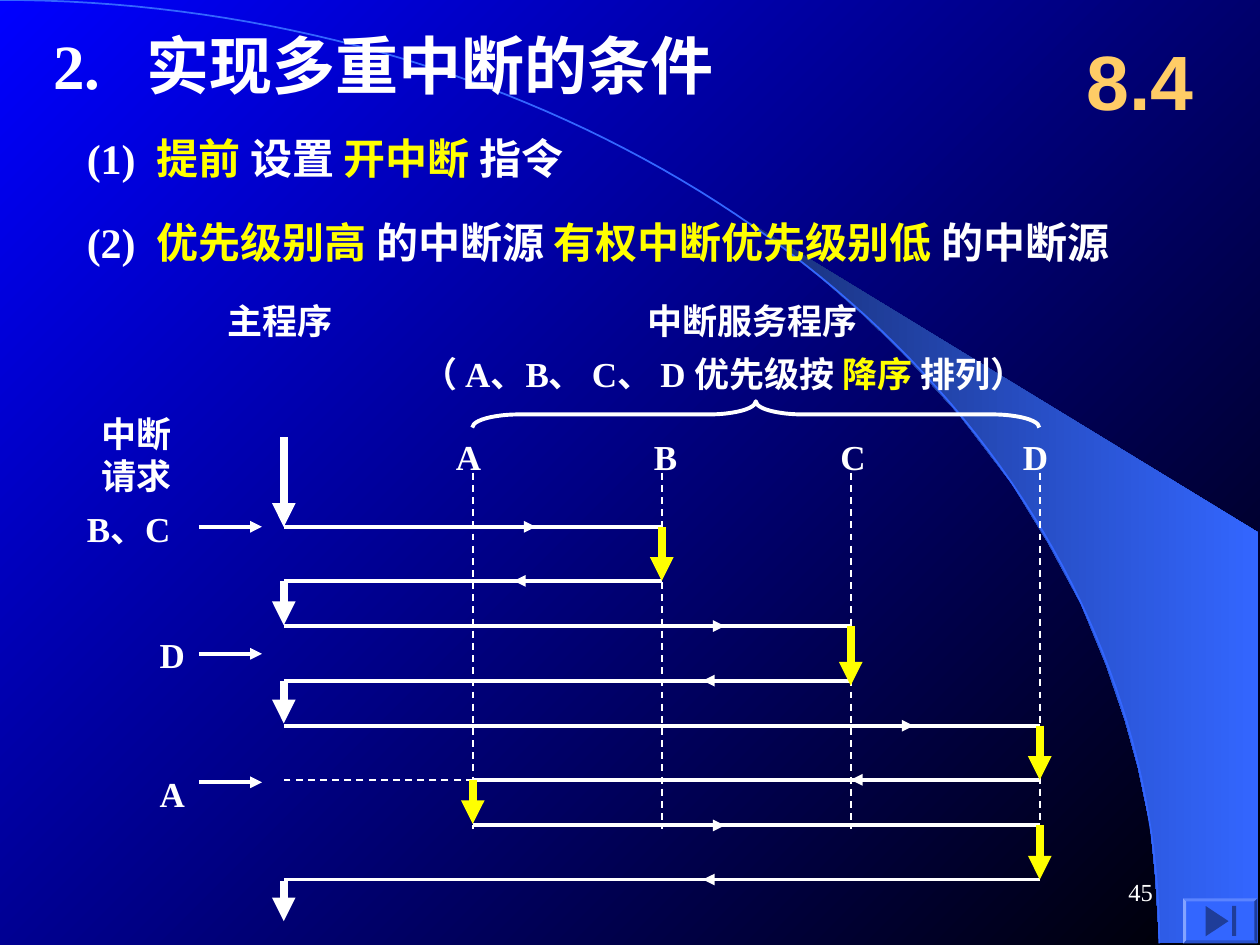
import math
import lxml.etree
import pptx
import pptx.dml.color
import pptx.enum.dml
import pptx.enum.shapes
import pptx.enum.text
import pptx.oxml.ns
import pptx.util

Cm = pptx.util.Cm
SHAPE = pptx.enum.shapes.MSO_SHAPE
ALIGN = pptx.enum.text.PP_ALIGN
ANCHOR = pptx.enum.text.MSO_ANCHOR
qn = pptx.oxml.ns.qn

COLORS = {"white": "FFFFFF", "yellow": "FFFF00", "gold": "FFCC66", "blue": "3366FF",
          "navy": "182F76", "icon": "1F3D99", "sky": "0000FF", "black": "000000"}

COL = {name: 5.72 + 3.81 * i for i, name in enumerate(["main", "A", "B", "C", "D"])}
ROWS = [10.62, 11.71, 12.62, 13.72, 14.63, 15.72, 16.64, 17.73]

TRANSFERS = [("main", "B", 9.53), ("B", "main", 11.63), ("main", "C", 13.34),
             ("C", "main", 15.44), ("main", "D", 17.15), ("D", "A", 18.42),
             ("A", "D", 13.34), ("D", "main", 15.44)]
RUNS = [("main", 8.81, 10.62, "white"), ("main", 11.71, 12.6, "white"),
        ("main", 13.72, 14.58, "white"), ("main", 17.75, 18.57, "white"),
        ("B", 10.62, 11.71, "yellow"), ("C", 12.62, 13.82, "yellow"),
        ("D", 14.63, 15.72, "yellow"), ("A", 15.72, 16.61, "yellow"),
        ("D", 16.64, 17.73, "yellow")]
REQUESTS = [("B、C", 1.5, 10.11, 10.62), ("D", 2.97, 12.65, 13.18), ("A", 2.97, 15.44, 15.77)]
HEADS = [("A", 8.94), ("B", 12.93), ("C", 16.69), ("D", 20.37)]
CONDITIONS = [
    (2.54, [("(1)\t", "white"), ("提前 ", "yellow"), ("设置 ", "white"),
            ("开中断 ", "yellow"), ("指令", "white")]),
    (4.24, [("(2)\t", "white"), ("优先级别高 ", "yellow"), ("的中断源 ", "white"),
            ("有权中断优先级别低 ", "yellow"), ("的中断源", "white")])]
PRIORITY = [("（ A、B、 C、 D 优先级按 ", "white"), ("降序 ", "yellow"), ("排列）", "white")]
SWOOSH = [(23.37, 19), (25.37, 19.02), (25.37, 10.74), (14.96, 4.39), (15.85, 5.05),
          (16.59, 5.64), (17.4, 6.35), (18.19, 7.11), (19.35, 8.38), (20.4, 9.75),
          (21.13, 10.95), (21.79, 12.17), (22.3, 13.41), (22.68, 14.53),
          (22.94, 15.47), (23.19, 16.66), (23.29, 17.68)]
ARC = [(23.37 * math.sin(math.pi * i / 160), 19.02 * (1 - math.cos(math.pi * i / 160)))
       for i in range(81)]

prs = pptx.Presentation()
prs.slide_width, prs.slide_height = Cm(25.4), Cm(19.05)
s = prs.slides.add_slide(prs.slide_layouts[6])


def rgb(name):
    return pptx.dml.color.RGBColor.from_string(COLORS[name])


def gradient(fill, names, angle):
    fill.gradient()
    fill.gradient_angle = angle
    for stop, name, position in zip(fill.gradient_stops, names, (0, 1)):
        stop.color.rgb = rgb(name)
        stop.position = position


def text(content, x, y, w, h, size=20, color="white", font="Times New Roman", bold=True,
         align=ALIGN.LEFT, anchor=ANCHOR.TOP, wrap=False, inset=True, tab=None):
    tf = s.shapes.add_textbox(Cm(x), Cm(y), Cm(w), Cm(h)).text_frame
    tf.word_wrap = wrap
    tf.vertical_anchor = anchor
    if not inset:
        tf.margin_left = tf.margin_right = tf.margin_top = tf.margin_bottom = 0
    lines = content.split("\n") if isinstance(content, str) else [content]
    for i, line in enumerate(lines):
        p = tf.paragraphs[0] if i == 0 else tf.add_paragraph()
        p.alignment = align
        if tab:
            tabs = lxml.etree.SubElement(p._p.get_or_add_pPr(), qn("a:tabLst"))
            lxml.etree.SubElement(tabs, qn("a:tab"), pos=str(Cm(tab)), algn="l")
        for words, name in ([(line, color)] if isinstance(line, str) else line):
            r = p.add_run()
            r.text = words
            r.font.size = pptx.util.Pt(size)
            r.font.name = font
            r.font.bold = bold
            r.font.color.rgb = rgb(name)


def line(x1, y1, x2, y2, color="white", width=2.25, arrow=False, dash=False):
    c = s.shapes.add_connector(pptx.enum.shapes.MSO_CONNECTOR.STRAIGHT,
                               Cm(x1), Cm(y1), Cm(x2), Cm(y2))
    c.line.color.rgb = rgb(color)
    c.line.width = pptx.util.Pt(width)
    if dash:
        c.line.dash_style = pptx.enum.dml.MSO_LINE.DASH
    if arrow:
        lxml.etree.SubElement(c.line._get_or_add_ln(), qn("a:tailEnd"), type="triangle")
    lxml.etree.SubElement(c._element.spPr, qn("a:effectLst"))


def outline(points, close):
    fb = s.shapes.build_freeform(Cm(points[0][0]), Cm(points[0][1]))
    fb.add_line_segments([(Cm(x), Cm(y)) for x, y in points[1:]], close=close)
    sp = fb.convert_to_shape()
    sp.shadow.inherit = False
    return sp


def block(kind, x, y, w, h, color):
    sp = s.shapes.add_shape(kind, Cm(x), Cm(y), Cm(w), Cm(h))
    sp.shadow.inherit = False
    sp.fill.solid()
    sp.fill.fore_color.rgb = rgb(color)
    sp.line.fill.background()
    return sp


gradient(s.background.fill, ("sky", "black"), 315)
sp = outline(SWOOSH, True)
gradient(sp.fill, ("navy", "blue"), 0)
sp.line.fill.background()
sp = outline(ARC, False)
sp.fill.background()
sp.line.color.rgb = rgb("blue")
sp.line.width = pptx.util.Pt(1)

text("2.\t实现多重中断的条件", 1.07, 0.71, 14.99, 1.19, size=36, anchor=ANCHOR.MIDDLE,
     wrap=True, inset=False, tab=1.88)
for y, runs in CONDITIONS:
    text(runs, 1.5, y, 22.63, 1.27, size=24, wrap=True, tab=1.41)
text("8.4", 21.39, 0.43, 3.18, 2.34, size=44, color="gold", font="Arial",
     align=ALIGN.CENTER, anchor=ANCHOR.MIDDLE, wrap=True)

text("主程序", 4.34, 5.92, 2.62, 1.12)
text("中断服务程序", 12.8, 5.92, 4.75, 1.12)
text(PRIORITY, 8.26, 6.99, 14.07, 1.12)
text("中断\n请求", 1.8, 8.2, 2.4, 1.96, wrap=True)

brace = s.shapes.add_shape(SHAPE.LEFT_BRACE, Cm(14.97), Cm(2.64), Cm(0.53), Cm(11.43))
brace.rotation = 90
brace.adjustments[0] = 1.79
brace.shadow.inherit = False
brace.fill.background()
brace.line.color.rgb = rgb("white")
brace.line.width = pptx.util.Pt(2.25)

for name, x in HEADS:
    line(COL[name], 9.53, COL[name], 16.71, width=1, dash=True)
    text(name, x, 8.66, 1.02, 1.12)

for y, (start, end, x) in zip(ROWS, TRANSFERS):
    line(COL[start], y, COL[end], y)
    line(x, y, x + math.copysign(1.27, COL[end] - COL[start]), y, arrow=True)
line(COL["A"], ROWS[5], COL["main"], ROWS[5], width=1, dash=True)

for name, top, bottom, color in RUNS:
    line(COL[name], top, COL[name], bottom, color=color, width=4.5, arrow=True)

for name, x, y, arrow_y in REQUESTS:
    text(name, x, y, 4.04 - x, 1.12)
    line(4.01, arrow_y, 5.28, arrow_y, arrow=True)

button = block(SHAPE.BEVEL, 23.85, 18.11, 1.5, 0.91, "blue")
button.adjustments[0] = 0.07
block(SHAPE.ISOSCELES_TRIANGLE, 24.23, 18.34, 0.61, 0.46, "icon").rotation = 90
block(SHAPE.RECTANGLE, 24.84, 18.26, 0.08, 0.61, "icon")

text("45", 18.21, 17.35, 5.28, 1.27, size=14, bold=False, align=ALIGN.RIGHT,
     anchor=ANCHOR.MIDDLE, wrap=True)

prs.save("out.pptx")
